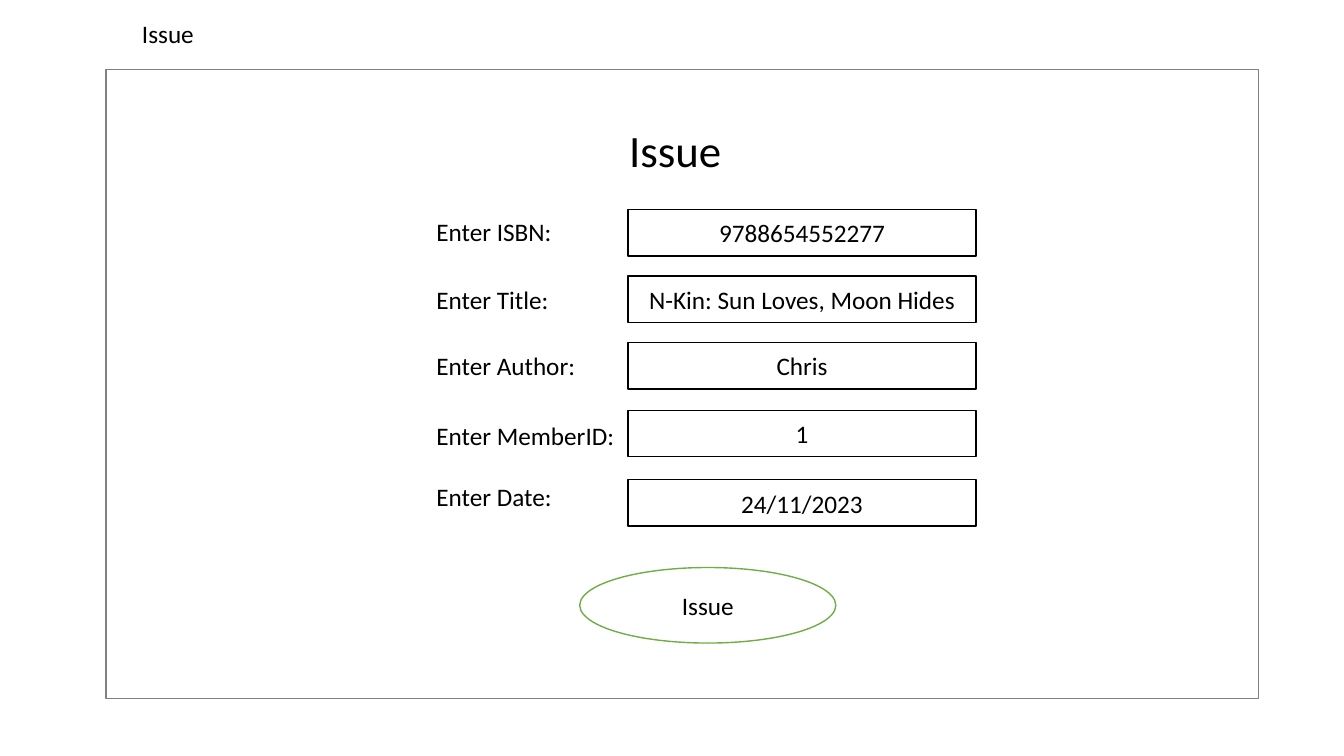
from pptx import Presentation
from pptx.dml.color import RGBColor
from pptx.enum.shapes import MSO_SHAPE
from pptx.enum.text import MSO_ANCHOR, MSO_AUTO_SIZE, PP_ALIGN
from pptx.util import Inches, Pt

SCREEN_NAME = "Issue"
HEADING = "Issue"
BUTTON = "Issue"
# label, entered value, top of label, top of entry box
FIELDS = [
    ("Enter ISBN:", "9788654552277", 2.1, 2.08),
    ("Enter Title:", "N-Kin: Sun Loves, Moon Hides", 2.77, 2.74),
    ("Enter Author:", "Chris", 3.43, 3.4),
    ("Enter MemberID:", "1", 4.12, 4.07),
    ("Enter Date:", "24/11/2023", 4.73, 4.76),
]

FONT = "Calibri"
BLACK, WHITE, GREY, GREEN = "000000", "FFFFFF", "808080", "70AD47"
LABEL_LEFT, LABEL_WIDTH, LABEL_HEIGHT = 4.23, 2.54, 0.4
ENTRY_LEFT, ENTRY_WIDTH, ENTRY_HEIGHT = 6.23, 3.45, 0.46


def color(hex_value):
    return RGBColor.from_string(hex_value)


def write(shape, text, size=18, align=PP_ALIGN.LEFT, anchor=MSO_ANCHOR.TOP):
    frame = shape.text_frame
    frame.word_wrap = True
    frame.auto_size = MSO_AUTO_SIZE.NONE
    frame.vertical_anchor = anchor
    paragraph = frame.paragraphs[0]
    paragraph.alignment = align
    paragraph.line_spacing = 1.0
    run = paragraph.add_run()
    run.text = text
    run.font.name = FONT
    run.font.size = Pt(size)
    run.font.color.rgb = color(BLACK)


def add_label(slide, text, left, top, width):
    label = slide.shapes.add_textbox(
        Inches(left), Inches(top), Inches(width), Inches(LABEL_HEIGHT))
    write(label, text)


def add_outlined(slide, preset, left, top, width, height, outline, text=""):
    """Add a white shape with a thin outline and optional centred text."""
    shape = slide.shapes.add_shape(
        preset, Inches(left), Inches(top), Inches(width), Inches(height))
    shape.shadow.inherit = False
    shape.fill.solid()
    shape.fill.fore_color.rgb = color(WHITE)
    shape.line.color.rgb = color(outline)
    shape.line.width = Pt(1)
    if text:
        write(shape, text, align=PP_ALIGN.CENTER, anchor=MSO_ANCHOR.MIDDLE)
    return shape


def main():
    prs = Presentation()
    prs.slide_width, prs.slide_height = Inches(13.33), Inches(7.5)
    slide = prs.slides.add_slide(prs.slide_layouts[5])

    heading = slide.shapes.title
    heading.left, heading.top = Inches(6.14), Inches(1.17)
    heading.width, heading.height = Inches(3.64), Inches(0.64)
    write(heading, HEADING, size=32)

    window = add_outlined(
        slide, MSO_SHAPE.RECTANGLE, 1.05, 0.69, 11.43, 6.24, GREY)
    # The window must lie behind the heading
    heading._element.addprevious(window._element)
    add_label(slide, SCREEN_NAME, 1.31, 0.13, 3.98)

    for label, value, label_top, entry_top in FIELDS:
        add_label(slide, label, LABEL_LEFT, label_top, LABEL_WIDTH)
        add_outlined(slide, MSO_SHAPE.RECTANGLE, ENTRY_LEFT, entry_top,
                     ENTRY_WIDTH, ENTRY_HEIGHT, BLACK, value)

    add_outlined(slide, MSO_SHAPE.OVAL, 5.75, 5.63, 2.54, 0.75, GREEN, BUTTON)
    prs.save("out.pptx")


if __name__ == "__main__":
    main()
